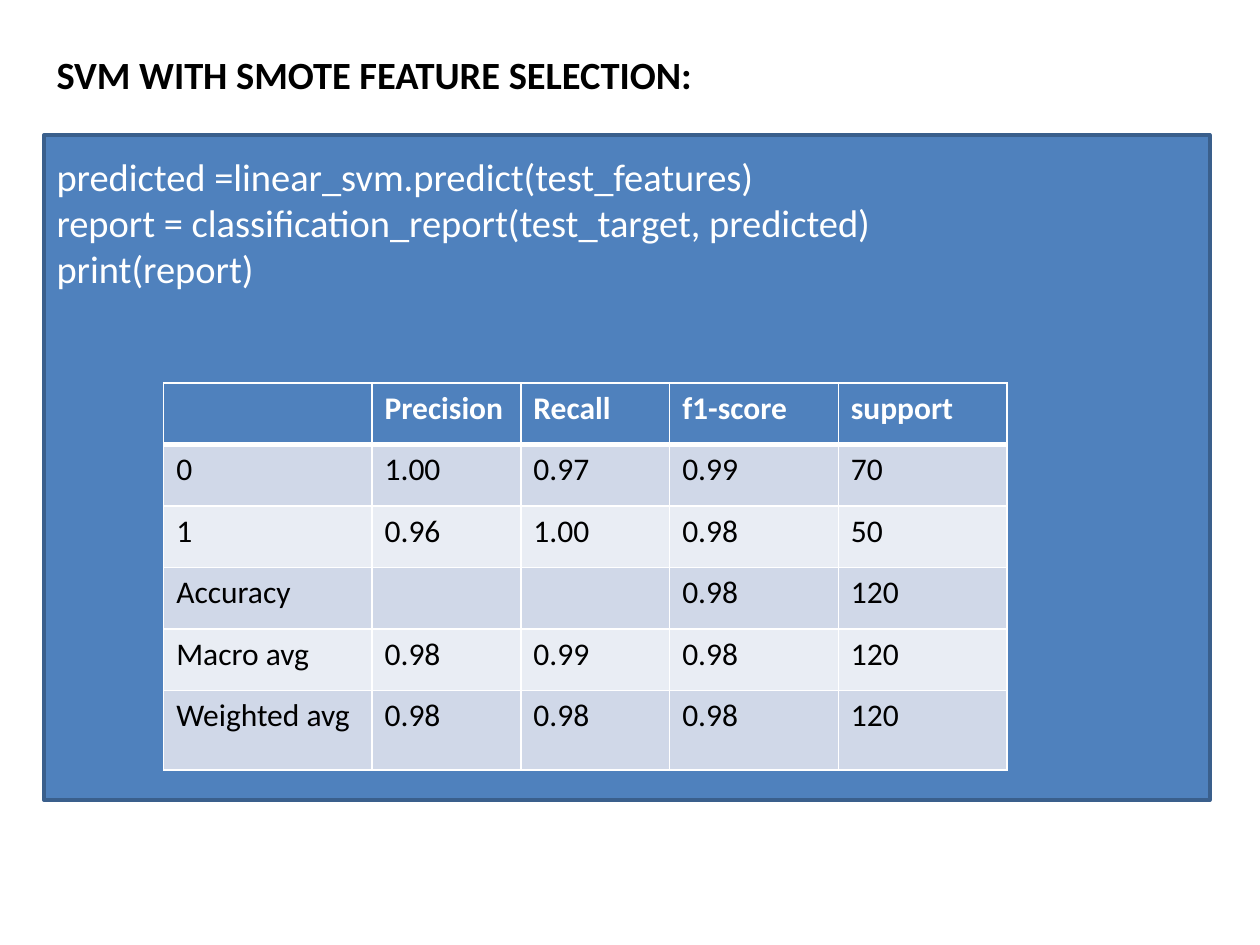
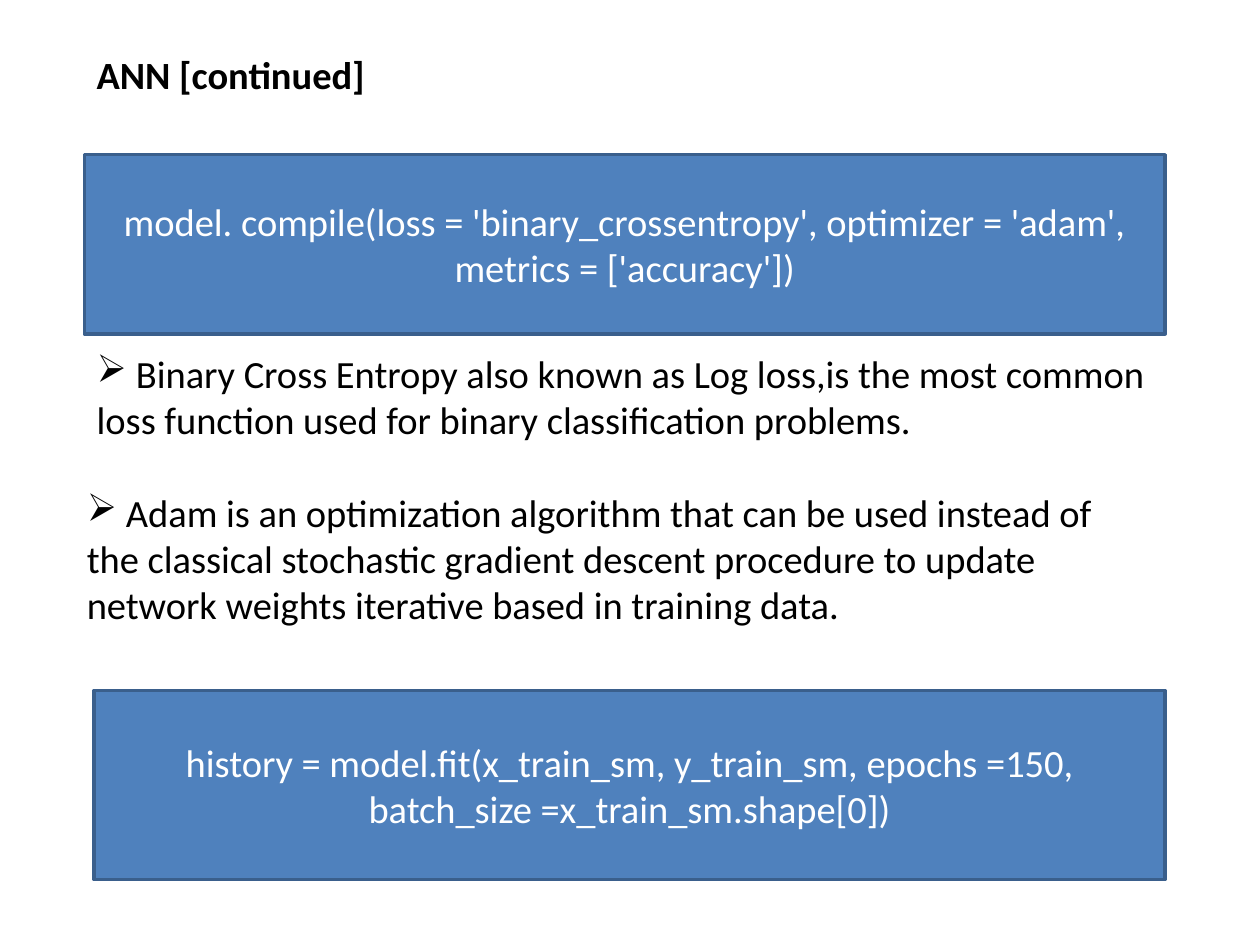
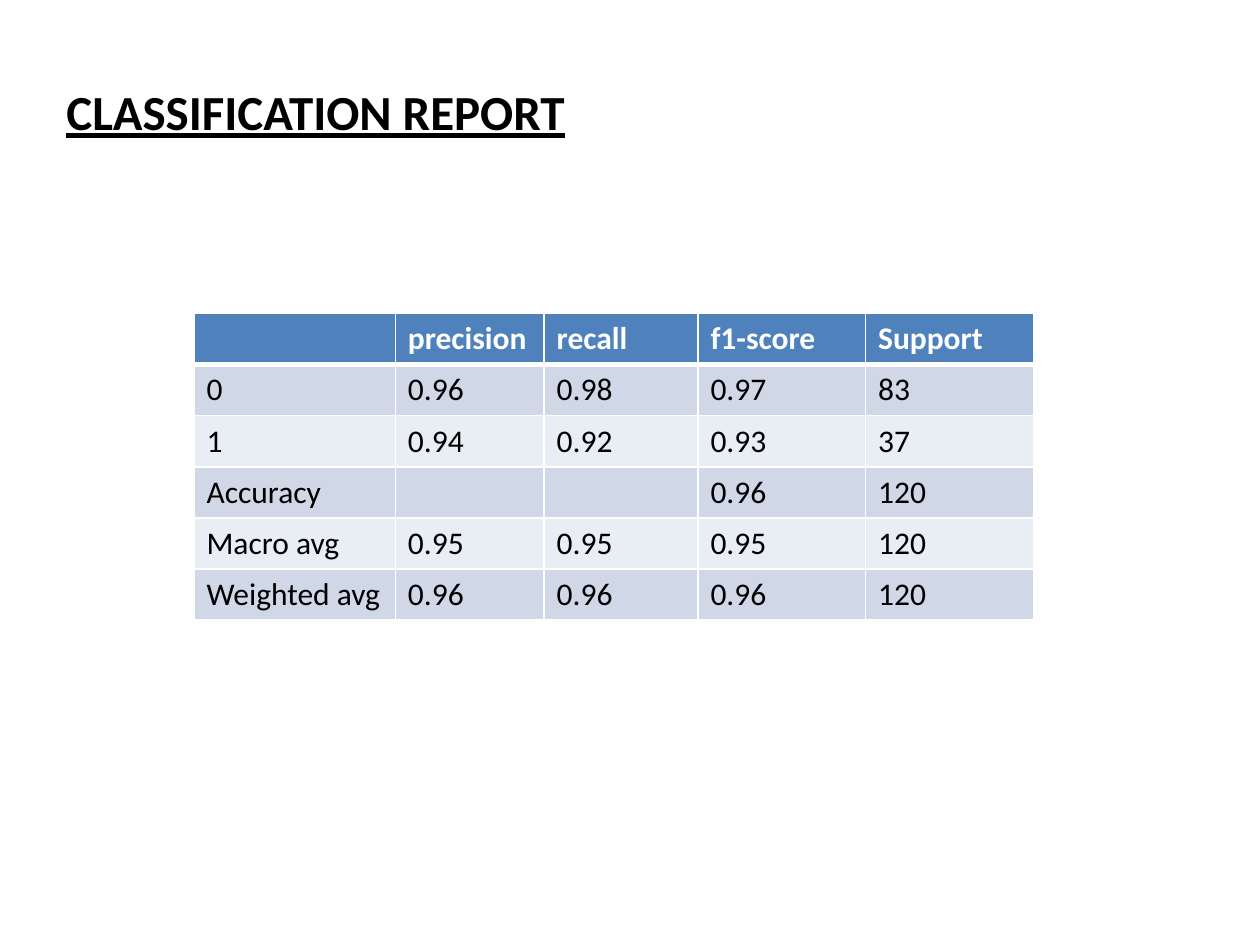
from lxml import etree
from pptx import Presentation
from pptx.dml.color import RGBColor
from pptx.enum.shapes import MSO_SHAPE
from pptx.enum.text import MSO_ANCHOR, PP_ALIGN
from pptx.oxml.ns import qn
from pptx.util import Cm, Pt

RECTANGLE = MSO_SHAPE.RECTANGLE
TOP, MIDDLE = MSO_ANCHOR.TOP, MSO_ANCHOR.MIDDLE
LEFT, CENTER = PP_ALIGN.LEFT, PP_ALIGN.CENTER

FONT = "Calibri"
BLUE, DARK_BLUE = "4F81BD", "3A5F8C"
BANDS = ("D0D8E8", "E9EDF4")
WHITE, BLACK = "FFFFFF", "000000"
BODY_SIZE, TABLE_SIZE, REPORT_TITLE_SIZE = 22, 18, 28


def color(hex_value):
    return RGBColor.from_string(hex_value)


def add_run(paragraph, text, size, hex_value, bold=False, underline=False):
    run = paragraph.add_run()
    run.text = text
    run.font.name = FONT
    run.font.size = Pt(size)
    run.font.bold = bold
    run.font.underline = underline
    run.font.color.rgb = color(hex_value)


def add_text_box(slide, box):
    text_frame = slide.shapes.add_textbox(*map(Cm, box)).text_frame
    text_frame.word_wrap = True
    return text_frame.paragraphs[0]


def add_title(slide, box, text, size=BODY_SIZE, underline=False):
    add_run(add_text_box(slide, box), text, size, BLACK, True, underline)


def add_bullet(slide, box, text):
    paragraph = add_text_box(slide, box)
    properties = paragraph._p.get_or_add_pPr()
    properties.set("marL", "0")
    properties.set("indent", "0")
    etree.SubElement(properties, qn("a:buChar"), char="➢")
    add_run(paragraph, " " + text, BODY_SIZE, BLACK)


def add_code_panel(slide, box, lines, anchor=MIDDLE, alignment=CENTER):
    panel = slide.shapes.add_shape(RECTANGLE, *map(Cm, box))
    panel.shadow.inherit = False
    panel.fill.solid()
    panel.fill.fore_color.rgb = color(BLUE)
    panel.line.color.rgb = color(DARK_BLUE)
    panel.line.width = Pt(2)
    text_frame = panel.text_frame
    text_frame.word_wrap = True
    text_frame.vertical_anchor = anchor
    text_frame.margin_top = text_frame.margin_bottom = Cm(0.36)
    for index, line in enumerate(lines):
        paragraph = text_frame.add_paragraph() if index else text_frame.paragraphs[0]
        paragraph.alignment = alignment
        add_run(paragraph, line, BODY_SIZE, WHITE)


def set_borders(cell, top, bottom):
    properties = cell._tc.get_or_add_tcPr()
    for side, width in (("L", 1), ("R", 1), ("T", top), ("B", bottom)):
        line = etree.SubElement(properties, qn(f"a:ln{side}"), w=str(Pt(width)))
        fill = etree.SubElement(line, qn("a:solidFill"))
        etree.SubElement(fill, qn("a:srgbClr"), val=WHITE)


def add_report_table(slide, left, top, column_widths, row_heights, rows):
    table = slide.shapes.add_table(
        len(rows), len(column_widths), Cm(left), Cm(top),
        Cm(sum(column_widths)), Cm(sum(row_heights))).table
    for column, width in zip(table.columns, column_widths):
        column.width = Cm(width)
    for row, height in zip(table.rows, row_heights):
        row.height = Cm(height)
    for row_index, values in enumerate(rows):
        header = row_index == 0
        for column_index, value in enumerate(values):
            cell = table.cell(row_index, column_index)
            set_borders(cell, 3 if row_index == 1 else 1, 3 if header else 1)
            cell.fill.solid()
            cell.fill.fore_color.rgb = color(BLUE if header else BANDS[(row_index - 1) % 2])
            if value:
                add_run(cell.text_frame.paragraphs[0], value, TABLE_SIZE,
                        WHITE if header else BLACK, header)


def build_svm_slide(slide):
    left, top = 0.89, 2.72
    add_code_panel(slide, (left, top, 23.5, 13.41), [
        "predicted =linear_svm.predict(test_features)",
        "report = classification_report(test_target, predicted)",
        "print(report)",
    ], TOP, LEFT)
    add_report_table(slide, left + 2.41, top + 5, (4.2, 3, 3, 3.4, 3.4), [1.24] * 5 + [1.6], [
        ("", "Precision", "Recall", "f1-score", "support"),
        ("0", "1.00", "0.97", "0.99", "70"),
        ("1", "0.96", "1.00", "0.98", "50"),
        ("Accuracy", "", "", "0.98", "120"),
        ("Macro avg", "0.98", "0.99", "0.98", "120"),
        ("Weighted avg", "0.98", "0.98", "0.98", "120"),
    ])
    add_title(slide, (left, 0.91, 15, 1.19), "SVM WITH SMOTE FEATURE SELECTION:")


def build_ann_slide(slide):
    left = 1.7
    add_code_panel(slide, (left, 3.12, 21.79, 3.61), [
        "model. compile(loss = 'binary_crossentropy', optimizer = 'adam', metrics = ['accuracy'])"])
    add_code_panel(slide, (left + 0.2, 13.92, 21.59, 3.81), [
        "history = model.fit(x_train_sm, y_train_sm, epochs =150, batch_size =x_train_sm.shape[0])"])
    add_bullet(slide, (left, 6.93, 22.4, 2.13),
               "Binary Cross Entropy also known as Log loss,is the most common "
               "loss function used for binary classification problems.")
    add_bullet(slide, (left - 0.2, 9.73, 21.59, 3.07),
               "Adam is an optimization algorithm that can be used instead of "
               "the classical stochastic gradient descent procedure to update "
               "network weights iterative based in training data.")
    add_title(slide, (left, 0.91, 6, 1.19), "ANN [continued]")


def build_report_slide(slide):
    add_report_table(slide, 3.91, 6.32, (4.06, 3, 3.1, 3.38, 3.38), [1.03] * 6, [
        ("", "precision", "recall", "f1-score", "Support"),
        ("0", "0.96", "0.98", "0.97", "83"),
        ("1", "0.94", "0.92", "0.93", "37"),
        ("Accuracy", "", "", "0.96", "120"),
        ("Macro avg", "0.95", "0.95", "0.95", "120"),
        ("Weighted avg", "0.96", "0.96", "0.96", "120"),
    ])
    add_title(slide, (1.09, 1.52, 23.19, 1.45), "CLASSIFICATION REPORT",
              REPORT_TITLE_SIZE, True)


def main():
    presentation = Presentation()
    presentation.slide_width = Cm(25.4)
    presentation.slide_height = Cm(19.05)
    blank_layout = presentation.slide_layouts[6]
    for build_slide in (build_svm_slide, build_ann_slide, build_report_slide):
        build_slide(presentation.slides.add_slide(blank_layout))
    presentation.save("out.pptx")


if __name__ == "__main__":
    main()
